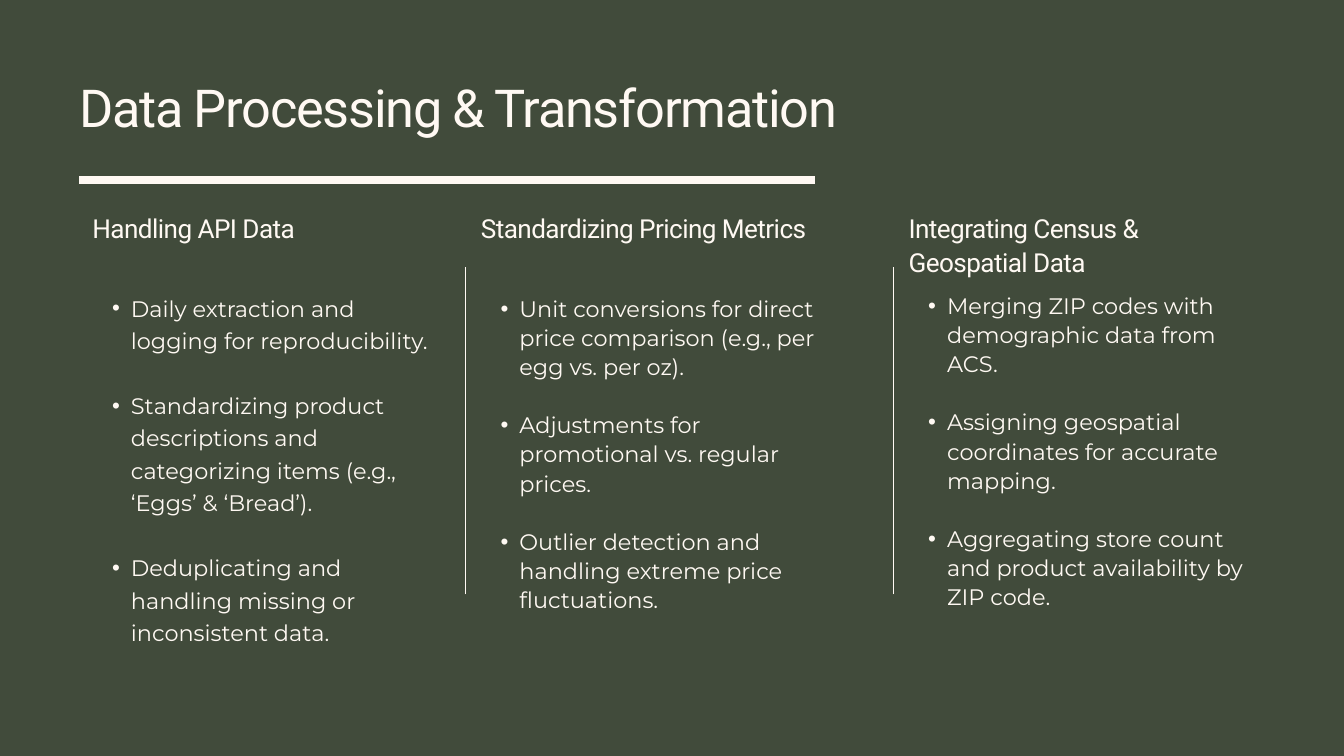
from pptx import Presentation
from pptx.dml.color import RGBColor
from pptx.enum.shapes import MSO_CONNECTOR
from pptx.enum.text import MSO_ANCHOR, MSO_AUTO_SIZE, PP_ALIGN
from pptx.oxml.ns import qn
from pptx.util import Emu, Pt
from lxml import etree

STRAIGHT = MSO_CONNECTOR.STRAIGHT
TOP = MSO_ANCHOR.TOP
LEFT = PP_ALIGN.LEFT
NO_AUTOFIT = MSO_AUTO_SIZE.NONE

EMU_PER_PX = 9525
TITLE_ONLY = 5
BACKGROUND = "414B3B"
CREAM = "FFF9F3"
HEADING_TOP, HEADING_HEIGHT = 300, 95
BULLET_INDENT, BULLET_HANG = 55, 27

# left, heading width, heading, body top, body width, body height, line pitch in points, bullets
COLUMNS = [
    (132, 512, "Handling API Data", 413, 491, 545, 34.8, [
        "Daily extraction and logging for reproducibility.",
        "Standardizing product descriptions and categorizing items (e.g., ‘Eggs’ & ‘Bread’).",
        "Deduplicating and handling missing or inconsistent data.",
    ]),
    (687, 567, "Standardizing Pricing Metrics", 418, 496, 491, 31.2, [
        "Unit conversions for direct price comparison (e.g., per egg vs. per oz).",
        "Adjustments for promotional vs. regular prices.",
        "Outlier detection and handling extreme price fluctuations.",
    ]),
    (1298, 489, "Integrating Census & Geospatial Data", 414, 490, 491, 31.2, [
        "Merging ZIP codes with demographic data from ACS.",
        "Assigning geospatial coordinates for accurate mapping.",
        "Aggregating store count and product availability by ZIP code.",
    ]),
]


def px(length):
    return Emu(length * EMU_PER_PX)


def color(hex_string):
    return RGBColor.from_string(hex_string)


def prepare_frame(shape):
    """Make the text wrap from the top left corner without margins."""
    frame = shape.text_frame
    frame.word_wrap = True
    frame.auto_size = NO_AUTOFIT
    frame.vertical_anchor = TOP
    frame.margin_left = frame.margin_right = 0
    frame.margin_top = frame.margin_bottom = 0
    return frame


def add_text_box(slide, left, top, width, height):
    return prepare_frame(slide.shapes.add_textbox(px(left), px(top), px(width), px(height)))


def format_paragraph(paragraph, font_name, size, pitch, tracking=0):
    """Set font, exact line pitch and tracking, the last in hundredths of a point."""
    paragraph.alignment = LEFT
    paragraph.line_spacing = Pt(pitch)
    for run in paragraph.runs:
        run.font.name = font_name
        run.font.size = Pt(size)
        run.font.color.rgb = color(CREAM)
        if tracking:
            run.font._element.set("spc", str(tracking))


def add_bullet(paragraph):
    properties = paragraph._p.get_or_add_pPr()
    properties.set("marL", str(px(BULLET_INDENT)))
    properties.set("indent", str(-px(BULLET_HANG)))
    etree.SubElement(properties, qn("a:buFont")).set("typeface", "Arial")
    etree.SubElement(properties, qn("a:buChar")).set("char", "•")


def add_line(slide, start, end, width):
    line = slide.shapes.add_connector(STRAIGHT, *map(px, start + end))
    line.line.color.rgb = color(CREAM)
    line.line.width = Pt(width)
    etree.SubElement(line._element.spPr, qn("a:effectLst"))


def set_title(slide, text):
    title = slide.shapes.title
    title.left, title.top, title.width, title.height = map(px, (113, 107, 1785, 90))
    frame = prepare_frame(title)
    frame.text = text
    format_paragraph(frame.paragraphs[0], "Roboto", 56, 67.2, -140)


def add_heading(slide, left, width, text):
    frame = add_text_box(slide, left, HEADING_TOP, width, HEADING_HEIGHT)
    frame.text = text
    format_paragraph(frame.paragraphs[0], "Roboto", 28, 36.4, -60)


def add_bullets(slide, left, top, width, height, pitch, bullets):
    frame = add_text_box(slide, left, top, width, height)
    frame.text = "\n".join(bullets)
    for index, paragraph in enumerate(frame.paragraphs):
        paragraph.level = 1
        format_paragraph(paragraph, "Montserrat", 24, pitch)
        if index:
            paragraph.space_before = Pt(pitch)
        add_bullet(paragraph)


def main():
    presentation = Presentation()
    presentation.slide_width, presentation.slide_height = px(1920), px(1080)
    slide = presentation.slides.add_slide(presentation.slide_layouts[TITLE_ONLY])
    slide.background.fill.solid()
    slide.background.fill.fore_color.rgb = color(BACKGROUND)

    set_title(slide, "Data Processing & Transformation")
    add_line(slide, (113, 257), (1164, 257), 8.25)
    for divider_x in (665, 1276):
        add_line(slide, (divider_x, 849), (divider_x, 382), 0.75)
    for left, heading_width, heading, top, width, height, pitch, bullets in COLUMNS:
        add_heading(slide, left, heading_width, heading)
        add_bullets(slide, left, top, width, height, pitch, bullets)

    presentation.save("out.pptx")


if __name__ == "__main__":
    main()
